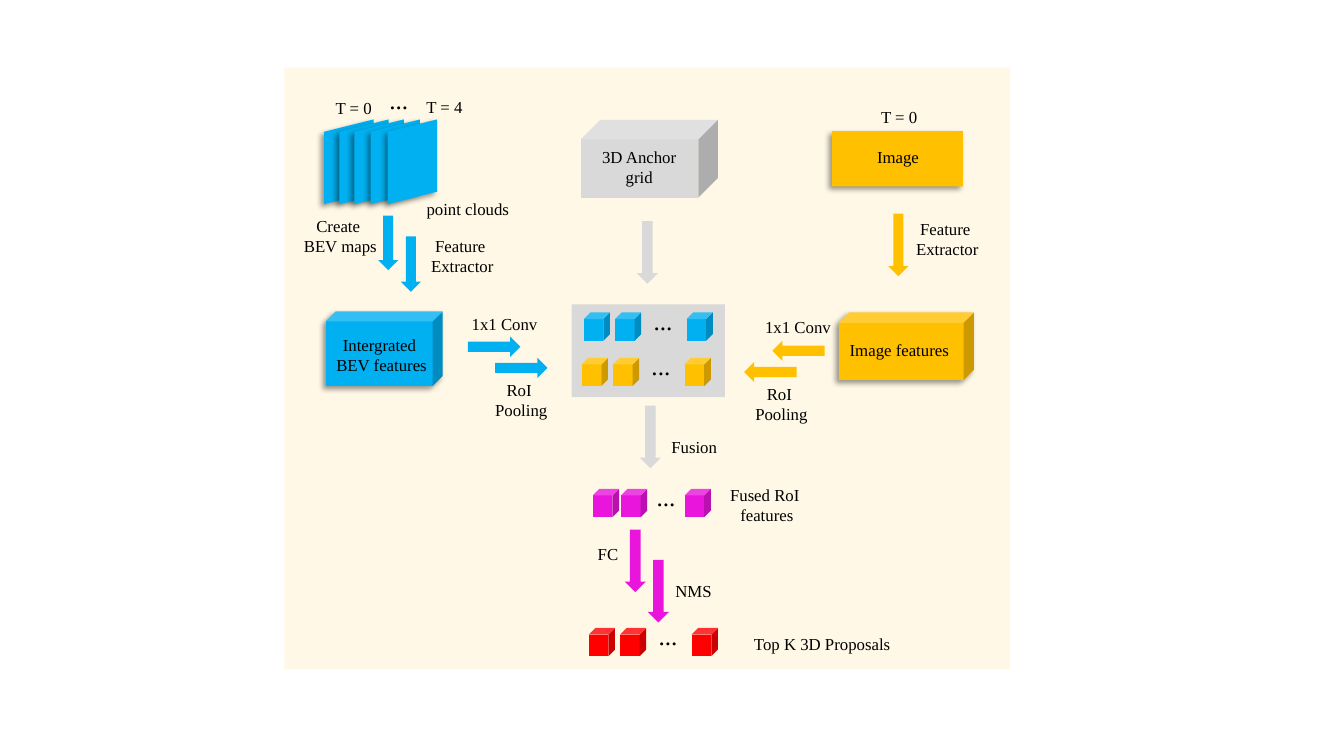
from lxml import etree
from pptx import Presentation
from pptx import util as u
from pptx.dml.color import RGBColor
from pptx.enum import shapes, text
from pptx.oxml import ns

COLORS = {"panel": "FFF2CC", "lidar": "00B0F0", "camera": "FFC000", "anchor": "D9D9D9",
          "fused": "E915DD", "proposal": "FF0000", "ink": "000000"}
FONT = "Times New Roman"
KIND = shapes.MSO_SHAPE
LEFT, CENTER = text.PP_ALIGN.LEFT, text.PP_ALIGN.CENTER
CM_PER_INCH = 2.54

# All places below are in inches: left, top, width, height
PANEL = (2.82, 0.67, 7.2, 5.97)
CLOUD_LEFTS = (3.04, 3.19, 3.34, 3.5, 3.67)
CLOUD_TOP, CLOUD_SIZE = 1.36, (0.84, 0.49)
BLOCKS = [  # kind, place, colour, cube depth, shadow
    (KIND.RECTANGLE, (8.25, 1.3, 1.3, 0.55), "camera", None, True),
    (KIND.CUBE, (3.23, 3.09, 1.16, 0.74), "lidar", 0.134, True),
    (KIND.CUBE, (8.32, 3.1, 1.34, 0.67), "camera", 0.153, True),
    (KIND.CUBE, (5.76, 1.19, 1.36, 0.77), "anchor", 0.25, False),
    (KIND.RECTANGLE, (5.67, 3.02, 1.52, 0.92), "anchor", None, False),
]
ARROWS = [  # place before turning, turn in degrees, colour
    ((3.58, 2.31, 0.54, 0.2), 90, "lidar"),
    ((3.8, 2.52, 0.55, 0.2), 90, "lidar"),
    ((8.6, 2.33, 0.62, 0.2), 90, "camera"),
    ((6.11, 2.4, 0.62, 0.21), 90, "anchor"),
    ((4.64, 3.34, 0.52, 0.2), 0, "lidar"),
    ((4.91, 3.55, 0.52, 0.2), 0, "lidar"),
    ((7.66, 3.38, 0.52, 0.2), 180, "camera"),
    ((7.38, 3.59, 0.52, 0.2), 180, "camera"),
    ((6.14, 4.23, 0.62, 0.21), 90, "anchor"),
    ((5.99, 5.46, 0.62, 0.21), 90, "fused"),
    ((6.22, 5.76, 0.62, 0.21), 90, "fused"),
]
WIDE, TIGHT = (0, 0.31, 1.02), (0, 0.28, 0.91)
ROI_ROWS = [  # left, top, colour, cube offsets, offset of the dots
    (5.79, 3.1, "lidar", WIDE, 0.59),
    (5.77, 3.55, "camera", WIDE, 0.59),
    (5.88, 4.85, "fused", TIGHT, 0.53),
    (5.84, 6.23, "proposal", WIDE, 0.59),
]
ROI_SIZE, DOTS_SIZE, DOTS_RISE = (0.26, 0.28), (0.39, 0.4), 0.12
LABELS = [  # lines, place, alignment, wrap
    (["T = 0"], (3.23, 0.92, 0.64, 0.3), LEFT, True),
    (["T = 4"], (4.13, 0.91, 0.57, 0.3), LEFT, False),
    (["T = 0"], (8.64, 1.01, 0.6, 0.3), LEFT, True),
    (["point clouds"], (4.13, 1.92, 1.02, 0.3), CENTER, False),
    (["Image"], (8.6, 1.41, 0.62, 0.3), LEFT, False),
    (["3D Anchor", "grid"], (5.87, 1.41, 0.94, 0.5), CENTER, False),
    (["Create ", "BEV maps"], (2.9, 2.09, 0.95, 0.5), CENTER, True),
    (["Feature", " Extractor"], (4.13, 2.29, 0.87, 0.5), CENTER, False),
    (["Feature", " Extractor"], (8.94, 2.12, 0.87, 0.5), CENTER, False),
    (["Intergrated ", "BEV features"], (3.23, 3.27, 1.11, 0.5), CENTER, False),
    (["Image features"], (8.32, 3.32, 1.2, 0.3), CENTER, False),
    (["1x1 Conv"], (4.58, 3.06, 0.85, 0.3), LEFT, False),
    (["1x1 Conv"], (7.49, 3.09, 0.85, 0.3), LEFT, False),
    (["RoI ", "Pooling"], (4.81, 3.72, 0.72, 0.5), CENTER, False),
    (["RoI", " Pooling"], (7.35, 3.76, 0.76, 0.5), CENTER, False),
    (["Fusion"], (6.56, 4.28, 0.75, 0.3), LEFT, True),
    (["Fused RoI", " features"], (7.14, 4.76, 0.89, 0.5), CENTER, False),
    (["FC"], (5.83, 5.35, 0.5, 0.3), LEFT, True),
    (["NMS"], (6.6, 5.71, 0.65, 0.3), LEFT, True),
    (["Top K 3D Proposals"], (7.38, 6.24, 1.7, 0.3), LEFT, True),
]


def lengths(place):
    """Turn inches into slide lengths."""
    return [u.Cm(value * CM_PER_INCH) for value in place]


def add_alpha(color_element, percent):
    """Make a colour partly transparent."""
    etree.SubElement(color_element, ns.qn("a:alpha"), val=str(percent * 1000))


def add_shadow(part):
    """Cast a soft shadow to the lower left."""
    effects = part.element.spPr.find(ns.qn("a:effectLst"))
    shadow = etree.SubElement(effects, ns.qn("a:outerShdw"), blurRad=str(u.Pt(4)),
                              dist=str(u.Pt(3)), dir=str(135 * 60000), algn="tr", rotWithShape="0")
    add_alpha(etree.SubElement(shadow, ns.qn("a:srgbClr"), val=COLORS["ink"]), 40)


def add_part(kind, place, color, turn=0, shadow=False):
    """Draw a plain filled shape without outline."""
    part = slide.shapes.add_shape(kind, *lengths(place))
    part.fill.solid()
    part.fill.fore_color.rgb = RGBColor.from_string(COLORS[color])
    part.line.fill.background()
    part.shadow.inherit = False
    part.rotation = turn
    if shadow:
        add_shadow(part)
    return part


def add_label(lines, place, align=CENTER, wrap=False, size=12):
    """Write one paragraph per line."""
    frame = slide.shapes.add_textbox(*lengths(place)).text_frame
    frame.word_wrap = wrap
    frame.auto_size = text.MSO_AUTO_SIZE.SHAPE_TO_FIT_TEXT
    frame.text = "\n".join(lines)
    for paragraph in frame.paragraphs:
        paragraph.alignment = align
        font = paragraph.runs[0].font
        for name, value in {"name": FONT, "size": u.Pt(size)}.items():
            setattr(font, name, value)
        font.color.rgb = RGBColor.from_string(COLORS["ink"])


def add_roi_row(left, top, color, offsets, dots_offset):
    """Draw a row of small cubes with dots before the last one."""
    for offset in offsets:
        add_part(KIND.CUBE, (left + offset, top, *ROI_SIZE), color)
    add_label(["..."], (left + dots_offset, top - DOTS_RISE, *DOTS_SIZE), size=18)


deck = Presentation()
deck.slide_width, deck.slide_height = lengths((13.33, 7.5))
slide = deck.slides.add_slide(deck.slide_layouts[6])

panel = add_part(KIND.RECTANGLE, PANEL, "panel")
add_alpha(panel.element.spPr.find(".//" + ns.qn("a:srgbClr")), 49)

for cloud_left in CLOUD_LEFTS:
    cloud = add_part(KIND.PARALLELOGRAM, (cloud_left, CLOUD_TOP, *CLOUD_SIZE), "lidar", 90, True)
    cloud.element.spPr.xfrm.set("flipV", "1")
add_label(["..."], (3.76, 0.79, *DOTS_SIZE), size=18)

for kind, place, color, depth, shadow in BLOCKS:
    block = add_part(kind, place, color, shadow=shadow)
    if depth:
        block.adjustments[0] = depth
for place, turn, color in ARROWS:
    add_part(KIND.RIGHT_ARROW, place, color, turn)
for row in ROI_ROWS:
    add_roi_row(*row)
for label in LABELS:
    add_label(*label)

deck.save("out.pptx")
